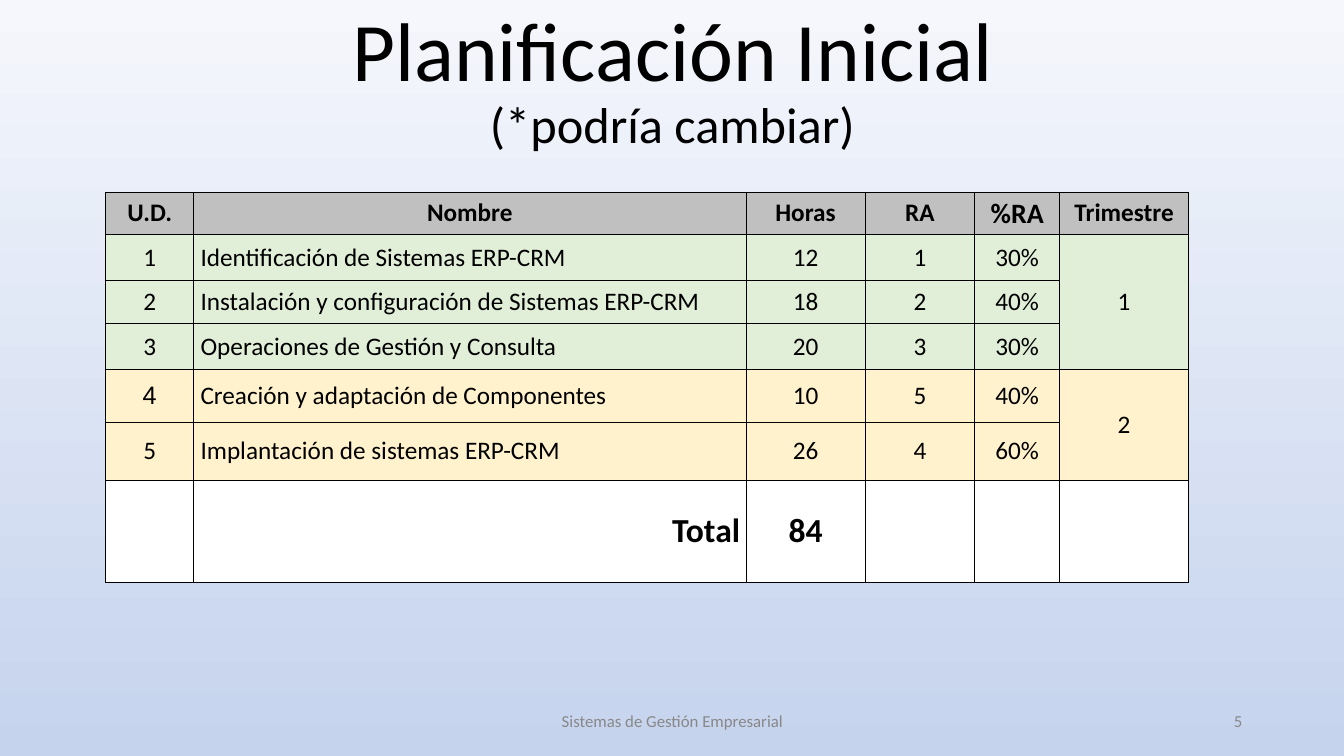
from lxml.etree import SubElement
from pptx import Presentation
from pptx.dml.color import RGBColor
from pptx.enum.text import MSO_ANCHOR as Anchor, PP_ALIGN as Align
from pptx.oxml.ns import qn
from pptx.util import Inches, Pt

BLACK, GRAY = "000000", "888888"
HEADER, GREEN, YELLOW, WHITE = "C0C0C0", "E1EFD8", "FFF2CC", "FFFFFF"


def color(hex_code):
    return RGBColor.from_string(hex_code)


def write(frame, text, size=18, sizes=None, ink=BLACK, bold=False,
          align=Align.CENTER, font="Calibri", spacing=None):
    """Write text in one paragraph; each line may have its own size."""
    para = frame.paragraphs[0]
    para.alignment = align
    if spacing:
        para.line_spacing = spacing
    for index, line in enumerate(text.split("\n")):
        if index:
            para.add_line_break()
        span = para.add_run()
        span.text = line
        span.font.name = font
        span.font.size = Pt(sizes[index] if sizes else size)
        span.font.bold = bold
        span.font.color.rgb = color(ink)


deck = Presentation()
deck.slide_width, deck.slide_height = Inches(13.33), Inches(7.5)
page = deck.slides.add_slide(deck.slide_layouts[6])

# Background gradient, top to bottom
background = page.background.fill
background.gradient()
background.gradient_angle = 270
for stop, shade in zip(background.gradient_stops, ("F5F7FC", "C5D3ED")):
    stop.color.rgb = color(shade)

# Title, footer and page number
texts = [
    ((0.92, 0.09, 11.5, 1.45), "Planificación Inicial\n(*podría cambiar)",
     dict(sizes=(59.4, 36), spacing=0.9)),
    ((4.42, 6.95, 4.5, 0.4), "Sistemas de Gestión Empresarial",
     dict(size=12, ink=GRAY)),
    ((9.42, 6.95, 3, 0.4), "5", dict(size=12, ink=GRAY, align=Align.RIGHT)),
]
for place, text, style in texts:
    box = page.shapes.add_textbox(*(Inches(length) for length in place))
    box.text_frame.word_wrap = True
    box.text_frame.vertical_anchor = Anchor.MIDDLE
    write(box.text_frame, text, **style)

# Table of teaching units
rows = [
    (HEADER, "U.D.", "Nombre", "Horas", "RA", "%RA", "Trimestre"),
    (GREEN, "1", "Identificación de Sistemas ERP-CRM", "12", "1", "30%", "1"),
    (GREEN, "2", "Instalación y configuración de Sistemas ERP-CRM",
     "18", "2", "40%", ""),
    (GREEN, "3", "Operaciones de Gestión y Consulta", "20", "3", "30%", ""),
    (YELLOW, "4", "Creación y adaptación de Componentes",
     "10", "5", "40%", "2"),
    (YELLOW, "5", "Implantación de sistemas ERP-CRM", "26", "4", "60%", ""),
    (WHITE, "", "Total", "84", "", "", ""),
]
widths = [0.87, 5.48, 1.18, 1.09, 0.84, 1.28]
heights = [0.32, 0.46, 0.43, 0.45, 0.53, 0.57, 1.02]
last = len(rows) - 1
table = page.shapes.add_table(
    len(rows), len(widths), Inches(1.05), Inches(1.91),
    Inches(sum(widths)), Inches(sum(heights))).table
table.first_row = table.horz_banding = False
for column, width in zip(table.columns, widths):
    column.width = Inches(width)
for row, height in zip(table.rows, heights):
    row.height = Inches(height)

for r, (fill, *values) in enumerate(rows):
    for c, value in enumerate(values):
        cell = table.cell(r, c)
        unit_name = c == 1 and 0 < r < last
        cell.vertical_anchor = Anchor.MIDDLE
        cell.margin_left = cell.margin_right = Inches(0.07 if unit_name else 0.06)
        cell.margin_top = cell.margin_bottom = Inches(0 if unit_name else 0.04)

        # Thin black border on every side
        properties = cell._tc.get_or_add_tcPr()
        for side in ("a:lnL", "a:lnR", "a:lnT", "a:lnB"):
            line = SubElement(properties, qn(side), w=str(Pt(0.75)))
            solid = SubElement(line, qn("a:solidFill"))
            SubElement(solid, qn("a:srgbClr"), val=BLACK)
        cell.fill.solid()
        cell.fill.fore_color.rgb = color(fill)

        if value:
            align = Align.CENTER
            if unit_name:
                align = Align.JUSTIFY
            elif value == "Total":
                align = Align.RIGHT
            size = 24 if r == last else 20 if value == "%RA" else 18
            write(cell.text_frame, value, size=size, align=align,
                  bold=r in (0, last),
                  font="Arial" if (r, c) == (4, 0) else "Calibri")

# Each term spans its units
for first, final in ((1, 3), (4, 5)):
    table.cell(first, 5).merge(table.cell(final, 5))

deck.save("out.pptx")
